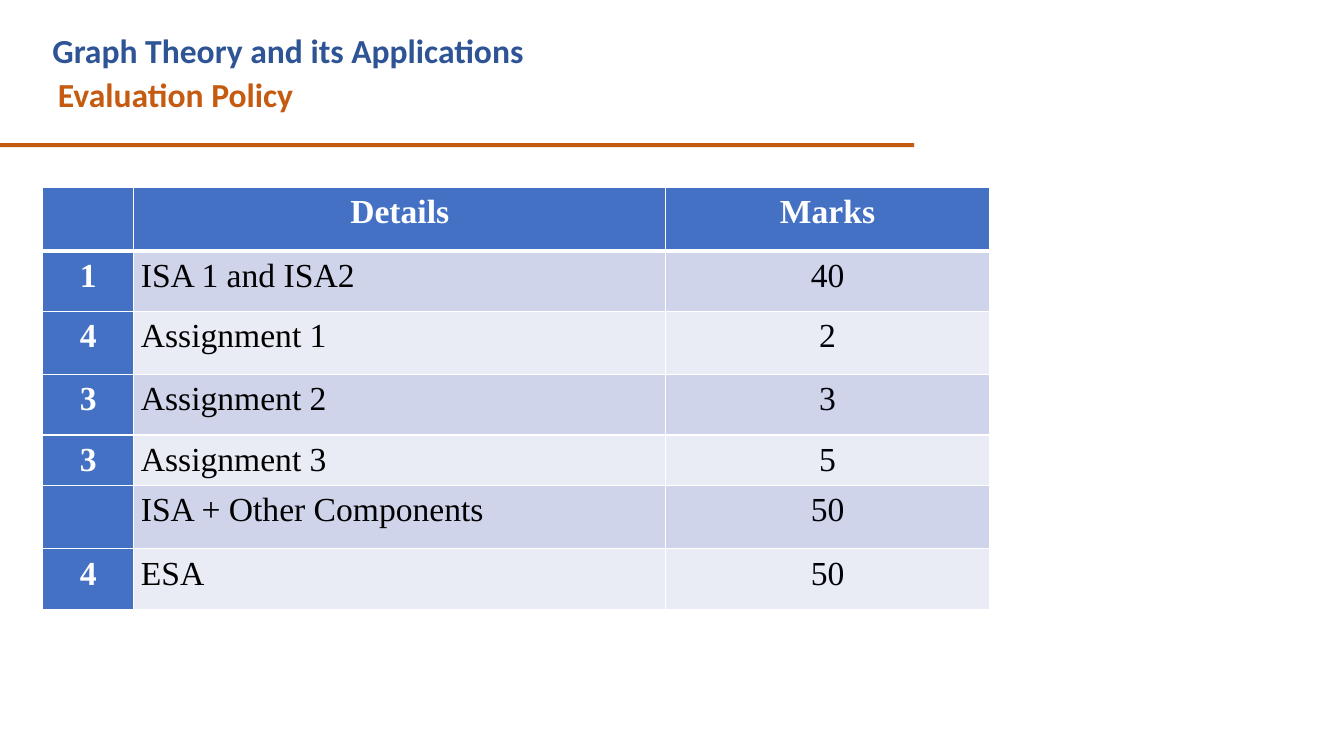
from dataclasses import dataclass

from lxml import etree
from pptx import Presentation
from pptx.dml.color import RGBColor
from pptx.enum.shapes import MSO_SHAPE
from pptx.enum.text import MSO_ANCHOR, MSO_AUTO_SIZE, PP_ALIGN
from pptx.oxml.ns import qn
from pptx.util import Cm, Pt

COURSE = "Graph Theory and its Applications"
TOPIC = "Evaluation Policy"
MARKS_TABLE = [
    ("", "Details", "Marks"),
    ("1", "ISA 1 and ISA2", "40"),
    ("4", "Assignment 1", "2"),
    ("3", "Assignment 2", "3"),
    ("3", "Assignment 3", "5"),
    ("", "ISA + Other Components", "50"),
    ("4", "ESA", "50"),
]
COLUMN_WIDTHS = (2.29, 13.41, 8.15)
ROW_HEIGHTS = (1.6, 1.52, 1.6, 1.52, 1.27, 1.6, 1.52)


@dataclass(frozen=True)
class Theme:
    course: str = "2E5496"
    accent: str = "C55A11"
    header: str = "4471C4"
    bands: tuple = ("E9EBF5", "CFD4EA")
    white: str = "FFFFFF"
    details: str = "000000"
    marks: str = "000009"
    title_font: str = "Calibri"
    table_font: str = "Times New Roman"
    size: int = 24
    border: int = 1
    header_border: int = 3


THEME = Theme()


def write(paragraph, text, *, font, color, bold=False, align=PP_ALIGN.LEFT,
          indent=0, spacing=1.0):
    properties = paragraph._p.get_or_add_pPr()
    properties.set("marL", str(Cm(indent)))
    properties.set("indent", "0")
    paragraph.alignment = align
    paragraph.line_spacing = spacing
    paragraph.space_before = Pt(0)
    run = paragraph.add_run()
    run.text = text
    run.font.name = font
    run.font.size = Pt(THEME.size)
    run.font.bold = bold
    run.font.color.rgb = RGBColor.from_string(color)


def clear_margins(box):
    box.margin_left = box.margin_right = box.margin_top = box.margin_bottom = 0


def set_borders(cell, **widths):
    """Draw white borders; sides are L, R, T and B, with widths in points."""
    properties = cell._tc.get_or_add_tcPr()
    for side in "LRTB":
        width = Pt(widths.get(side, THEME.border))
        line = etree.SubElement(properties, qn(f"a:ln{side}"), w=str(width))
        fill = etree.SubElement(line, qn("a:solidFill"))
        etree.SubElement(fill, qn("a:srgbClr"), val=THEME.white)


def add_heading(slide):
    title = slide.shapes.title
    title.left, title.top, title.width, title.height = map(Cm, (1.24, 0.64, 12.01, 2.29))
    frame = title.text_frame
    clear_margins(frame)
    frame.margin_top = Cm(0.03)
    frame.word_wrap = True
    frame.auto_size = MSO_AUTO_SIZE.SHAPE_TO_FIT_TEXT
    frame.vertical_anchor = MSO_ANCHOR.TOP
    style = dict(font=THEME.title_font, bold=True, spacing=1.09)
    write(frame.paragraphs[0], COURSE, color=THEME.course, indent=0.08, **style)
    write(frame.add_paragraph(), TOPIC, color=THEME.accent, indent=0.22, **style)


def add_heading_rule(slide):
    rule = slide.shapes.add_shape(MSO_SHAPE.RECTANGLE, 0, Cm(3.61), Cm(23.04), Cm(0.1))
    rule.shadow.inherit = False
    rule.fill.solid()
    rule.fill.fore_color.rgb = RGBColor.from_string(THEME.accent)
    rule.line.fill.background()


def add_marks_table(slide):
    table = slide.shapes.add_table(
        len(ROW_HEIGHTS), len(COLUMN_WIDTHS), Cm(1.08), Cm(4.72),
        Cm(sum(COLUMN_WIDTHS)), Cm(sum(ROW_HEIGHTS))).table
    table.first_col = True
    table.horz_banding = False
    for column, width in zip(table.columns, COLUMN_WIDTHS):
        column.width = Cm(width)
    for row, height in zip(table.rows, ROW_HEIGHTS):
        row.height = Cm(height)

    for r, entries in enumerate(MARKS_TABLE):
        for c, entry in enumerate(entries):
            cell = table.cell(r, c)
            clear_margins(cell)
            cell.vertical_anchor = MSO_ANCHOR.TOP
            header_edge = {0: "B", 1: "T"}.get(r)
            set_borders(cell, **({header_edge: THEME.header_border} if header_edge else {}))
            heading = r == 0 or c == 0
            cell.fill.solid()
            cell.fill.fore_color.rgb = RGBColor.from_string(
                THEME.header if heading else THEME.bands[r % 2])
            if not entry:
                continue
            details = c == 1 and not heading
            body_color = THEME.details if details else THEME.marks
            write(cell.text_frame.paragraphs[0], entry, font=THEME.table_font,
                  color=THEME.white if heading else body_color, bold=heading,
                  align=PP_ALIGN.LEFT if details else PP_ALIGN.CENTER,
                  indent=0.18 if details else 0, spacing=1.17)


def main():
    deck = Presentation()
    deck.slide_width, deck.slide_height = Cm(33.87), Cm(19.05)
    slide = deck.slides.add_slide(deck.slide_layouts[5])
    add_heading(slide)
    add_heading_rule(slide)
    add_marks_table(slide)
    deck.save("out.pptx")


if __name__ == "__main__":
    main()
